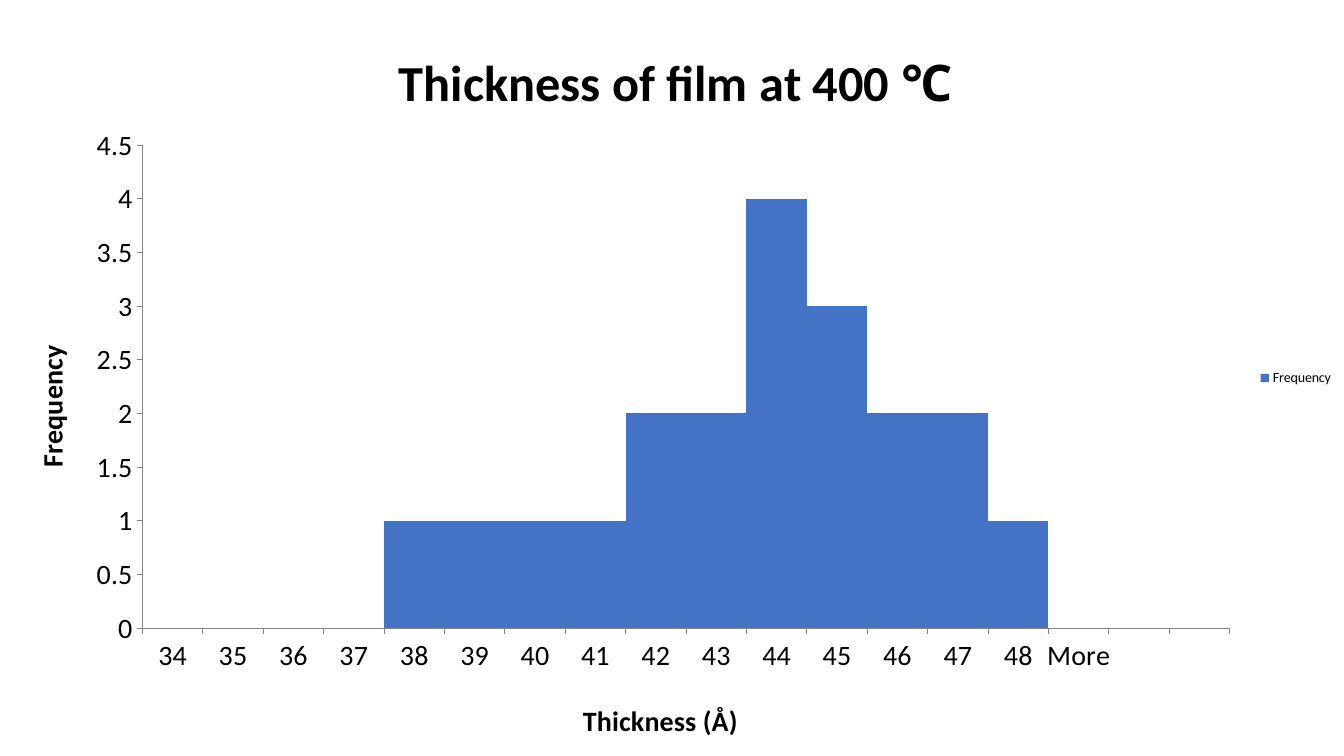
from lxml import etree
from pptx import Presentation
from pptx import util as u
from pptx.chart import data
from pptx.dml import color
from pptx.enum import chart as kinds
from pptx.oxml import ns

WIDTH, HEIGHT = u.Cm(33.87), u.Cm(19.05)
FONT = "Calibri"
BLACK, BLUE, GREY = "000000", "4472C4", "868686"
BINS = [str(size) for size in range(34, 49)] + ["More", "", ""]
COUNTS = [0] * 4 + [1] * 4 + [2, 2, 4, 3, 2, 2, 1, 0, None, None]


def paint(target, value):
    target.rgb = color.RGBColor.from_string(value)


def set_font(font, size, bold=False):
    font.name = FONT
    font.size = u.Pt(size)
    font.bold = bold
    paint(font.color, BLACK)


def place(parent, index, **settings):
    for old in parent.findall(ns.qn("c:layout")):
        parent.remove(old)
    layout = etree.Element(ns.qn("c:layout"))
    manual = etree.SubElement(layout, ns.qn("c:manualLayout"))
    for name, value in settings.items():
        etree.SubElement(manual, ns.qn(f"c:{name}")).set("val", str(value))
    parent.insert(index, layout)


def set_title(title, words, size, left, top):
    para = title.text_frame.paragraphs[0]
    para.text = words
    set_font(para.font, size, True)
    place(title._element, 1, xMode="edge", yMode="edge", x=left, y=top)


def style_axis(axis, words, left, top):
    set_title(axis.axis_title, words, 20, left, top)
    set_font(axis.tick_labels.font, 20)
    axis.has_major_gridlines = False
    axis.major_tick_mark = kinds.XL_TICK_MARK.OUTSIDE
    axis.minor_tick_mark = kinds.XL_TICK_MARK.NONE
    axis.format.line.width = u.Pt(0.75)
    paint(axis.format.line.color, GREY)


def add_histogram(page):
    table = data.CategoryChartData()
    table.categories = BINS
    table.add_series("Frequency", COUNTS)
    chart = page.shapes.add_chart(
        kinds.XL_CHART_TYPE.COLUMN_CLUSTERED, 0, 0, WIDTH, HEIGHT, table
    ).chart
    set_font(chart.font, 10)

    set_title(chart.chart_title, "Thickness of film at 400 ℃ ", 36, 0.29, 0.05)
    style_axis(chart.category_axis, "Thickness (Å)", 0.43, 0.92)
    style_axis(chart.value_axis, "Frequency", 0.02, 0.45)
    scale = chart.value_axis
    scale.minimum_scale, scale.maximum_scale, scale.major_unit = 0, 4.5, 0.5
    scale.tick_labels.number_format = "General"
    scale.tick_labels.number_format_is_linked = False

    chart.has_legend = True
    chart.legend.position = kinds.XL_LEGEND_POSITION.RIGHT
    chart.legend.include_in_layout = False
    set_font(chart.legend.font, 10)

    plot = chart.plots[0]
    plot.gap_width = 0
    plot.vary_by_categories = False
    fill = plot.series[0].format.fill
    fill.solid()
    paint(fill.fore_color, BLUE)
    area = chart._chartSpace.find(".//" + ns.qn("c:plotArea"))
    place(area, 0, layoutTarget="inner", xMode="edge", yMode="edge",
          x=0.106, y=0.192, w=0.809, h=0.639)


def main():
    deck = Presentation()
    deck.slide_width, deck.slide_height = WIDTH, HEIGHT
    page = deck.slides.add_slide(deck.slide_layouts[6])
    add_histogram(page)
    deck.save("out.pptx")


if __name__ == "__main__":
    main()
